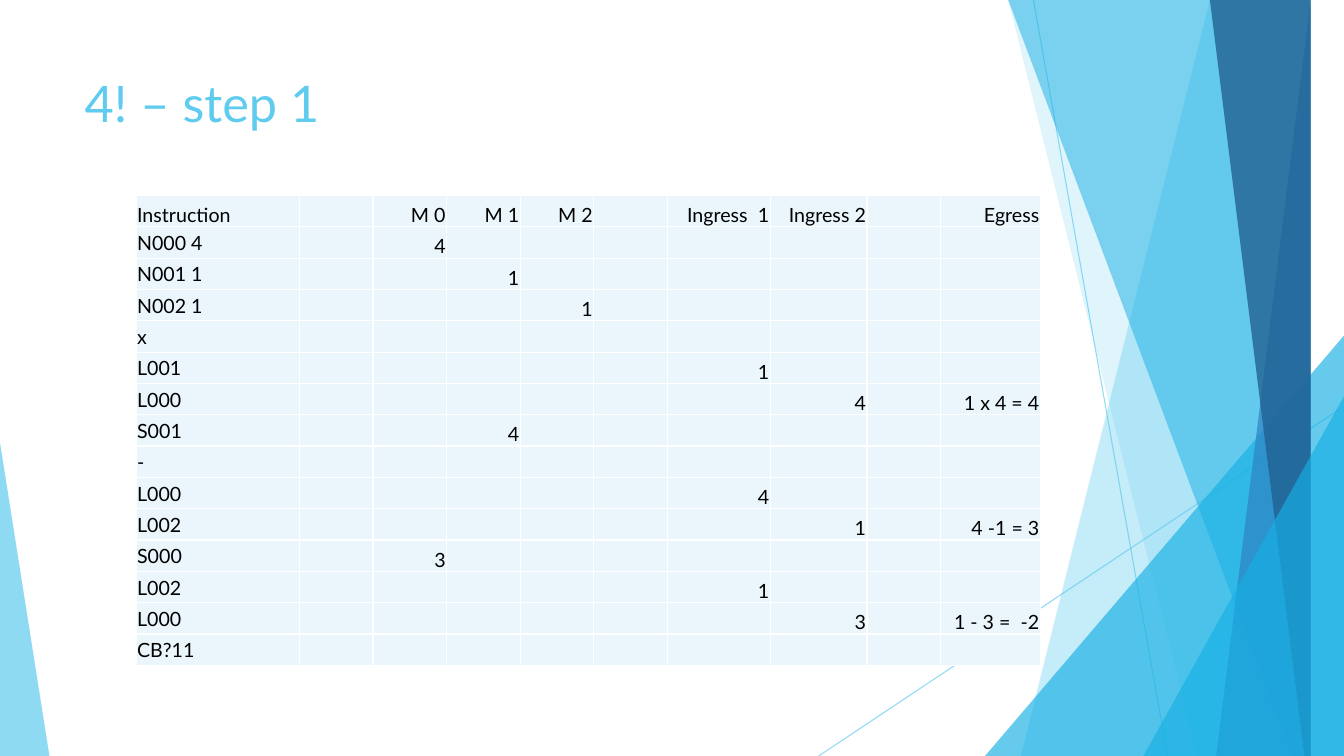
import pptx
import pptx.util
import pptx.dml.color
import pptx.enum.shapes
import pptx.enum.text
import pptx.oxml
import pptx.oxml.ns
from lxml import etree

Inches = pptx.util.Inches
Pt = pptx.util.Pt
ALIGN = pptx.enum.text.PP_ALIGN
ANCHOR = pptx.enum.text.MSO_ANCHOR
WIDTH, HEIGHT = 13.33, 7.5
SKY, AZURE, BLUE, NAVY = "5FCBEF", "17B0E4", "2E83C3", "226292"
FONT = "Lato"


def paint(color_format, color, opacity=100):
    """Set a colour from a hex string, with an opacity in percent."""
    color_format.rgb = pptx.dml.color.RGBColor.from_string(color)
    if opacity < 100:
        value = color_format._xFill.find(".//" + pptx.oxml.ns.qn("a:srgbClr"))
        etree.SubElement(value, pptx.oxml.ns.qn("a:alpha"), val=str(opacity * 1000))


def fill_facet(shape, color, opacity):
    shape.shadow.inherit = False
    shape.fill.solid()
    paint(shape.fill.fore_color, color, opacity)
    shape.line.fill.background()


presentation = pptx.Presentation()
presentation.slide_width = Inches(WIDTH)
presentation.slide_height = Inches(HEIGHT)
slide = presentation.slides.add_slide(presentation.slide_layouts[5])
shapes = slide.shapes

# Thin rays behind the facets
for x1, y1, x2 in [(10.25, 0, 11.58), (WIDTH, 4.03, 8.12)]:
    ray = shapes.add_connector(
        pptx.enum.shapes.MSO_CONNECTOR.STRAIGHT,
        Inches(x1), Inches(y1), Inches(x2), Inches(HEIGHT))
    ray.line.width = Pt(0.75)
    ray.line.fill.solid()
    paint(ray.line.fill.fore_color, SKY, 70)
    etree.SubElement(ray._element.spPr, pptx.oxml.ns.qn("a:effectLst"))

# Facets, back to front: bands (top x, bottom x) reach the right edge,
# triangles (left, top, width, apex) reach the bottom edge
facets = [
    ("band", (12.28, 10.04), SKY, 36),
    ("band", (10.5, 11.83), SKY, 20),
    ("triangle", (9.77, 3.33, 3.56, 1), AZURE, 66),
    ("band", (10.21, 12.91), AZURE, 50),
    ("band", (13.03, 11.92), BLUE, 70),
    ("band", (11.96, 13.18), NAVY, 80),
    ("triangle", (11.34, 3.93, 1.99, 1), AZURE, 66),
    ("triangle", (0, 4.39, 0.49, 0), SKY, 70),
]
for kind, geometry, color, opacity in facets:
    if kind == "band":
        top_x, bottom_x = geometry
        builder = shapes.build_freeform(top_x, -0.01, scale=Inches(1))
        builder.add_line_segments(
            [(WIDTH, -0.01), (WIDTH, HEIGHT), (bottom_x, HEIGHT)], close=True)
        facet = builder.convert_to_shape()
    else:
        left, top, width, apex = geometry
        facet = shapes.add_shape(
            pptx.enum.shapes.MSO_SHAPE.ISOSCELES_TRIANGLE,
            Inches(left), Inches(top), Inches(width), Inches(HEIGHT - top))
        facet.adjustments[0] = apex
    fill_facet(facet, color, opacity)

title = shapes.title
title.left, title.top = Inches(0.74), Inches(0.67)
title.width, title.height = Inches(9.4), Inches(0.83)
title.text_frame.text = "4! – step 1"
title.text_frame.vertical_anchor = ANCHOR.TOP
paragraph = title.text_frame.paragraphs[0]
paragraph.alignment = ALIGN.LEFT
paragraph.font.name = FONT
paragraph.font.size = Pt(36)
paint(paragraph.font.color, SKY)

# Each step: instruction, then the cells it fills by column
M0, M1, M2, INGRESS_1, INGRESS_2, EGRESS = 2, 3, 4, 6, 7, 9
steps = [
    ("Instruction", {M0: "M 0", M1: "M 1", M2: "M 2", INGRESS_1: "Ingress  1",
                     INGRESS_2: "Ingress 2", EGRESS: "Egress"}),
    ("N000 4", {M0: "4"}),
    ("N001 1", {M1: "1"}),
    ("N002 1", {M2: "1"}),
    ("x", {}),
    ("L001", {INGRESS_1: "1"}),
    ("L000", {INGRESS_2: "4", EGRESS: "1 x 4 = 4"}),
    ("S001", {M1: "4"}),
    ("-", {}),
    ("L000", {INGRESS_1: "4"}),
    ("L002", {INGRESS_2: "1", EGRESS: "4 -1 = 3"}),
    ("S000", {M0: "3"}),
    ("L002", {INGRESS_1: "1"}),
    ("L000", {INGRESS_2: "3", EGRESS: "1 - 3 =  -2"}),
    ("CB?11", {}),
]
column_widths = [1.62] + [0.73] * 5 + [1.02, 0.96, 0.73, 0.99]
table = shapes.add_table(
    len(steps), len(column_widths), Inches(1.35), Inches(1.94),
    Inches(sum(column_widths)), Inches(4.66)).table
table.first_row = False
table.horz_banding = False
for column, width in zip(table.columns, column_widths):
    column.width = Inches(width)

BORDER = ('<a:{side} {ns} w="12700"><a:solidFill><a:srgbClr val="FFFFFF"/>'
          '</a:solidFill></a:{side}>')
for row_index, (instruction, values) in enumerate(steps):
    for column_index in range(len(column_widths)):
        cell = table.cell(row_index, column_index)
        cell.margin_left = cell.margin_right = cell.margin_top = Inches(0.01)
        cell.margin_bottom = 0
        is_instruction = column_index == 0
        cell.text = instruction if is_instruction else values.get(column_index, "")
        cell.vertical_anchor = (
            ANCHOR.MIDDLE if is_instruction and row_index > 0 else ANCHOR.BOTTOM)
        paragraph = cell.text_frame.paragraphs[0]
        paragraph.alignment = ALIGN.LEFT if is_instruction else ALIGN.RIGHT
        paragraph.font.name = FONT
        paragraph.font.size = Pt(14)
        paint(paragraph.font.color, "000000")
        properties = cell._tc.get_or_add_tcPr()
        for side in ("lnL", "lnR", "lnT", "lnB"):
            properties.append(pptx.oxml.parse_xml(
                BORDER.format(side=side, ns=pptx.oxml.ns.nsdecls("a"))))
        cell.fill.solid()
        paint(cell.fill.fore_color, "EAF6FC")
for row in table.rows:
    row.height = Inches(4.66 / len(steps))

presentation.save("out.pptx")
